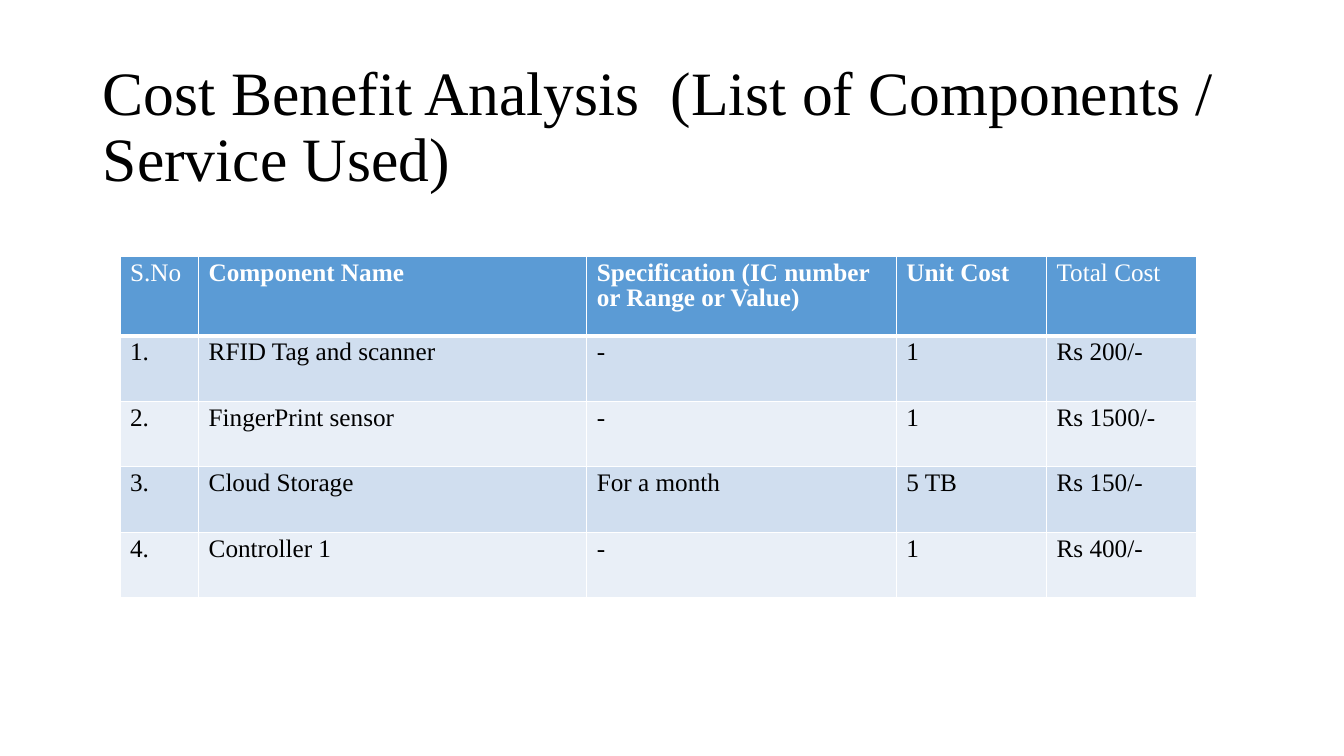
from pptx import Presentation
from pptx.dml.color import RGBColor
from pptx.enum import text
from pptx.oxml import parse_xml
from pptx.oxml.ns import nsdecls
from pptx.util import Inches, Pt

FONT = "Times New Roman"
COLORS = {"black": "000000", "white": "FFFFFF", "header": "5B9BD5",
          "odd": "D0DEEF", "even": "E9EFF7"}


def style_text(p, size, color, bold=False):
    p.line_spacing = 0.9
    p.alignment = text.PP_ALIGN.LEFT
    for r in p.runs:
        r.font.name = FONT
        r.font.size = Pt(size)
        r.font.bold = bold
        r.font.color.rgb = RGBColor.from_string(COLORS[color])


def border(side, width):
    return parse_xml(
        f'<a:{side} {nsdecls("a")} w="{Pt(width)}"><a:solidFill>'
        f'<a:srgbClr val="{COLORS["white"]}"/></a:solidFill></a:{side}>')


prs = Presentation()
prs.slide_width, prs.slide_height = Inches(13.33), Inches(7.5)
s = prs.slides.add_slide(prs.slide_layouts[5])

# Title
title = s.shapes.title
title.left, title.top = Inches(0.92), Inches(0.55)
title.width, title.height = Inches(11.5), Inches(1.45)
tf = title.text_frame
tf.text = "Cost Benefit Analysis  (List of Components / Service Used)"
tf.word_wrap = True
tf.auto_size = text.MSO_AUTO_SIZE.NONE
tf.vertical_anchor = text.MSO_ANCHOR.MIDDLE
style_text(tf.paragraphs[0], 44, "black")

# Component cost table
rows = [
    ["S.No", "Component Name", "Specification (IC number or Range or Value)",
     "Unit Cost", "Total Cost"],
    ["1.", "RFID Tag and scanner", "-", "1", "Rs 200/-"],
    ["2.", "FingerPrint sensor", "-", "1", "Rs 1500/-"],
    ["3.", "Cloud Storage", "For a month", "5 TB", "Rs 150/-"],
    ["4.", "Controller 1", "-", "1", "Rs 400/-"],
]
widths = [0.78, 3.85, 3.07, 1.49, 1.49]
heights = [0.79] + [0.65] * 4
table = s.shapes.add_table(len(rows), len(widths), Inches(1.19), Inches(2.54),
                           Inches(sum(widths)), Inches(sum(heights))).table
for column, width in zip(table.columns, widths):
    column.width = Inches(width)

for i, values in enumerate(rows):
    table.rows[i].height = Inches(heights[i])
    fill = "header" if i == 0 else "odd" if i % 2 else "even"
    for j, value in enumerate(values):
        cell = table.cell(i, j)
        cell.text = value
        # The first and last headings are regular weight
        style_text(cell.text_frame.paragraphs[0], 18,
                   "white" if i == 0 else "black", i == 0 and j in (1, 2, 3))
        # Borders come before the fill; the header rule is thicker
        tcPr = cell._tc.get_or_add_tcPr()
        for side, width in (("lnL", 1), ("lnR", 1), ("lnT", 3 if i == 1 else 1),
                            ("lnB", 3 if i == 0 else 1)):
            tcPr.append(border(side, width))
        cell.fill.solid()
        cell.fill.fore_color.rgb = RGBColor.from_string(COLORS[fill])

prs.save("out.pptx")
